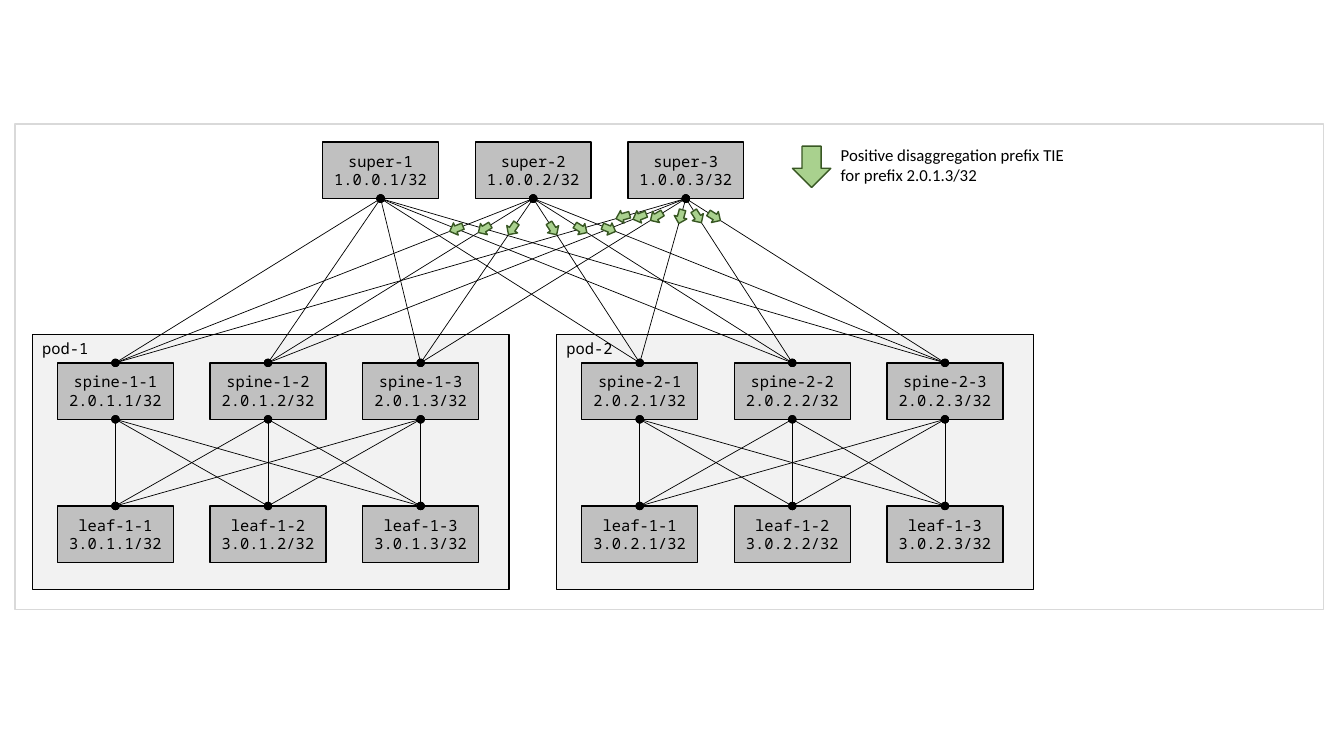
from math import atan2, degrees

from pptx import Presentation
from pptx import util as u
from pptx.dml.color import RGBColor
from pptx.enum import shapes, text
from pptx.oxml import parse_xml
from pptx.oxml.ns import nsdecls

BLACK = RGBColor(0x00, 0x00, 0x00)
NODE_GRAY = RGBColor(0xC0, 0xC0, 0xC0)
POD_GRAY = RGBColor(0xF2, 0xF2, 0xF2)
FRAME_GRAY = RGBColor(0xD9, 0xD9, 0xD9)
ARROW_GREEN = RGBColor(0xA9, 0xD1, 0x8E)
ARROW_EDGE = RGBColor(0x38, 0x57, 0x23)

MONO = "Noto Sans Mono"
RECTANGLE = shapes.MSO_SHAPE.RECTANGLE
DOWN_ARROW = shapes.MSO_SHAPE.DOWN_ARROW

POD_WIDTH, POD_HEIGHT = 4.73, 2.53
NODE_WIDTH, NODE_HEIGHT = 1.15, 0.56
COLUMN_STEP = 0.32 * POD_WIDTH
COLUMNS = (1, 2, 3)
ARROW_WIDTH, ARROW_HEIGHT = 0.13, 0.14


def add_box(parent, kind, box, fill, edge):
    shape = parent.shapes.add_shape(kind, *(u.Inches(length) for length in box))
    shape.shadow.inherit = False
    if fill is None:
        shape.fill.background()
    else:
        shape.fill.solid()
        shape.fill.fore_color.rgb = fill
    shape.line.color.rgb = edge
    shape.line.width = u.Pt(1)
    return shape


def write(shape, lines, font_name, size, align, anchor):
    frame = shape.text_frame
    frame.word_wrap = True
    frame.vertical_anchor = anchor
    frame.text = "\n".join(lines)
    for paragraph in frame.paragraphs:
        paragraph.alignment = align
        paragraph.font.name = font_name
        paragraph.font.size = u.Pt(size)
        paragraph.font.color.rgb = BLACK


def add_node_row(parent, left, top, name, prefix):
    """Draw three nodes and return the centre x of each."""
    centers = []
    for column in COLUMNS:
        x = left + (column - 1) * COLUMN_STEP
        node = add_box(parent, RECTANGLE, (x, top, NODE_WIDTH, NODE_HEIGHT), NODE_GRAY, BLACK)
        node.text_frame.margin_left = node.text_frame.margin_right = u.Inches(0.05)
        write(node, (f"{name}-{column}", f"{prefix}.{column}/32"), MONO, 11,
              text.PP_ALIGN.CENTER, text.MSO_ANCHOR.MIDDLE)
        centers.append(x + NODE_WIDTH / 2)
    return centers


def add_mesh(parent, upper_centers, upper_y, lower_centers, lower_y):
    """Link every upper node to every lower node, with a dot at both ends."""
    for upper_x in upper_centers:
        for lower_x in lower_centers:
            ends = (upper_x, upper_y, lower_x, lower_y)
            link = parent.shapes.add_connector(
                shapes.MSO_CONNECTOR.STRAIGHT, *(u.Inches(length) for length in ends))
            link.line.color.rgb = BLACK
            link.line.width = u.Pt(0.5)
            outline = link.line._get_or_add_ln()
            for tag in ("headEnd", "tailEnd"):
                outline.append(parse_xml(f'<a:{tag} {nsdecls("a")} type="oval"/>'))
            link._element.spPr.append(parse_xml(f'<a:effectLst {nsdecls("a")}/>'))


def add_pod(slide, left, top, number):
    """Draw a pod of spines and leaves; return the spine centres and their top."""
    group = slide.shapes.add_group_shape()
    pod = add_box(group, RECTANGLE, (left, top, POD_WIDTH, POD_HEIGHT), POD_GRAY, BLACK)
    write(pod, (f"pod-{number}",), MONO, 11, text.PP_ALIGN.LEFT, text.MSO_ANCHOR.TOP)
    node_left, spine_top, leaf_top = left + 0.25, top + 0.28, top + 1.7
    spines = add_node_row(group, node_left, spine_top, f"spine-{number}", f"2.0.{number}")
    leaves = add_node_row(group, node_left, leaf_top, "leaf-1", f"3.0.{number}")
    add_mesh(group, spines, spine_top + NODE_HEIGHT, leaves, leaf_top)
    return spines, spine_top


def add_flow_arrows(slide, start_x, start_y, spines, spine_top, drop):
    """Put an arrow on each link of one super node, at a given drop below it."""
    height = spine_top - start_y
    for spine_x in spines:
        run = spine_x - start_x
        center_x = start_x + run * drop / height
        box = (center_x - ARROW_WIDTH / 2, start_y + drop - ARROW_HEIGHT / 2,
               ARROW_WIDTH, ARROW_HEIGHT)
        arrow = add_box(slide, DOWN_ARROW, box, ARROW_GREEN, ARROW_EDGE)
        arrow.rotation = degrees(atan2(-run, height)) % 360


def add_legend(slide, left, top):
    add_box(slide, DOWN_ARROW, (left, top + 0.06, 0.38, 0.41), ARROW_GREEN, ARROW_EDGE)
    label = slide.shapes.add_textbox(
        u.Inches(left + 0.38), u.Inches(top), u.Inches(3.48), u.Inches(0.5))
    write(label, ("Positive disaggregation prefix TIE\vfor prefix 2.0.1.3/32",), "Calibri", 12,
          text.PP_ALIGN.LEFT, text.MSO_ANCHOR.TOP)


def add_fabric(slide, left, top, width, height):
    """Draw the whole network inside its frame."""
    spines = []
    for number, offset in ((1, 0.17), (2, 5.37)):
        centers, spine_top = add_pod(slide, left + offset, top + 2.09, number)
        spines += centers
    super_top = top + 0.18
    super_bottom = super_top + NODE_HEIGHT
    supers = add_node_row(slide, left + 3.05, super_top, "super", "1.0.0")
    add_mesh(slide, supers, super_bottom, spines, spine_top)
    for super_x, drop in zip(supers[1:], (0.3, 0.18)):
        add_flow_arrows(slide, super_x, super_bottom, spines, spine_top, drop)
    add_legend(slide, left + 7.71, top + 0.16)
    add_box(slide, RECTANGLE, (left, top, width, height), None, FRAME_GRAY)


def main():
    presentation = Presentation()
    presentation.slide_width = u.Inches(13.33)
    presentation.slide_height = u.Inches(7.5)
    slide = presentation.slides.add_slide(presentation.slide_layouts[6])
    add_fabric(slide, 0.15, 1.23, 12.98, 4.82)
    presentation.save("out.pptx")


if __name__ == "__main__":
    main()
